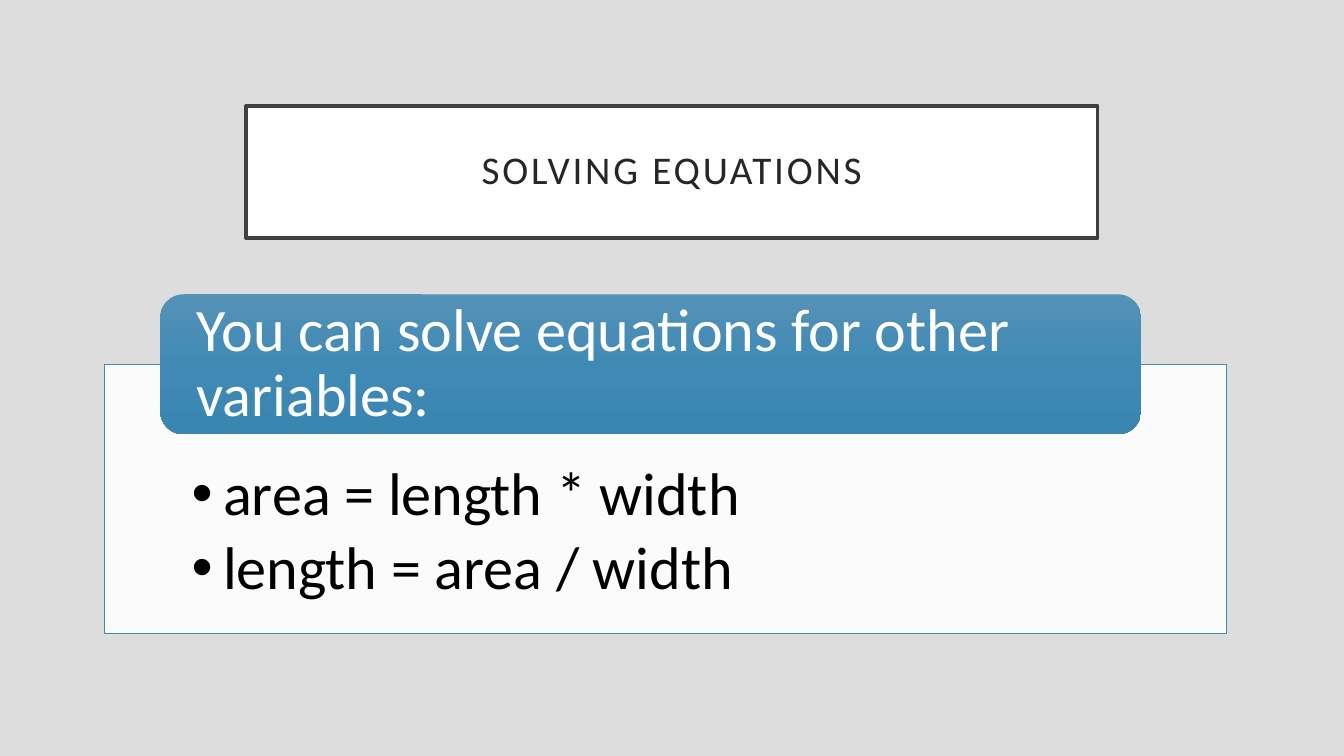
from copy import deepcopy

from lxml.etree import SubElement
from pptx import Presentation
from pptx.dml.color import RGBColor
from pptx.enum.shapes import MSO_SHAPE
from pptx.enum.text import MSO_ANCHOR, MSO_AUTO_SIZE, PP_ALIGN
from pptx.oxml.ns import qn
from pptx.util import Pt

TITLE = "SOLVING EQUATIONS"
LEAD = "You can solve equations for other variables:"
EQUATIONS = ["area = length * width", "length = area / width"]

FONT = "Calibri"
TEXT_SIZE = 43
HEADER_GRADIENT = [(0, "5592B7"), (0.5, "3F8AB5"), (1, "3986B1")]

# left, top, width, height in points
TITLE_BOX = (175.7, 75.6, 608.4, 94.6)
PANEL_BOX = (74.9, 260.6, 801.4, 192.2)
HEADER_BOX = (114.5, 210.2, 700.6, 100.1)


def rgb(color):
    return RGBColor.from_string(color)


def place(s, box):
    s.left, s.top, s.width, s.height = map(Pt, box)


def outline(s, color, width):
    s.line.color.rgb = rgb(color)
    s.line.width = Pt(width)


def fill_white(s, alpha=None):
    s.fill.solid()
    s.fill.fore_color.rgb = rgb("FFFFFF")
    if alpha:
        clr = s._element.spPr.find(qn("a:solidFill"))[0]
        SubElement(clr, qn("a:alpha"), val=str(alpha * 1000))


def fill_gradient(s, stops):
    s.fill.gradient()
    s.fill.gradient_angle = 270
    gs_list = s._element.spPr.find(qn("a:gradFill")).find(qn("a:gsLst"))
    gs_list.insert(1, deepcopy(gs_list[0]))
    for stop, (position, color) in zip(s.fill.gradient_stops, stops):
        stop.position = position
        stop.color.rgb = rgb(color)


def write(s, lines, size, color, insets, align=PP_ALIGN.LEFT,
          anchor=MSO_ANCHOR.MIDDLE, after=0, spacing=0, bullet_indent=0):
    tf = s.text_frame
    tf.word_wrap = True
    tf.auto_size = MSO_AUTO_SIZE.NONE
    tf.vertical_anchor = anchor
    tf.margin_left, tf.margin_top, tf.margin_right, tf.margin_bottom = map(Pt, insets)
    for i, line in enumerate(lines):
        p = tf.add_paragraph() if i else tf.paragraphs[0]
        p.alignment = align
        p.line_spacing = 0.9
        p.space_before = Pt(0)
        p.space_after = Pt(after)
        if bullet_indent:
            pPr = p._p.get_or_add_pPr()
            pPr.set("marL", str(Pt(bullet_indent)))
            pPr.set("indent", str(-Pt(bullet_indent)))
            SubElement(pPr, qn("a:buFont"), typeface="Arial")
            SubElement(pPr, qn("a:buChar"), char="•")
        r = p.add_run()
        r.text = line
        r.font.name = FONT
        r.font.size = Pt(size)
        r.font.color.rgb = rgb(color)
        if spacing:
            r._r.get_or_add_rPr().set("spc", str(spacing * 100))


prs = Presentation()
prs.slide_width, prs.slide_height = Pt(960), Pt(540)
slide = prs.slides.add_slide(prs.slide_layouts[1])
slide.background.fill.solid()
slide.background.fill.fore_color.rgb = rgb("DDDDDD")

title = slide.shapes.title
place(title, TITLE_BOX)
fill_white(title)
outline(title, "404040", 2.5)
write(title, [TITLE], 28, "262626", (14.4,) * 4, align=PP_ALIGN.CENTER, spacing=2)

panel = slide.placeholders[1]
place(panel, PANEL_BOX)
fill_white(panel, alpha=90)
outline(panel, "418AB3", 0.5)
write(panel, EQUATIONS, TEXT_SIZE, "000000", (62, 70.5, 62, 24),
      anchor=MSO_ANCHOR.TOP, after=6.5, bullet_indent=22.5)

header = slide.shapes.add_shape(MSO_SHAPE.ROUNDED_RECTANGLE, *map(Pt, HEADER_BOX))
header.shadow.inherit = False
header.line.fill.background()
fill_gradient(header, HEADER_GRADIENT)
# The rounded corners already inset the text by about 5 points
write(header, [LEAD], TEXT_SIZE, "FFFFFF", (21, 0, 21, 0))

prs.save("out.pptx")
